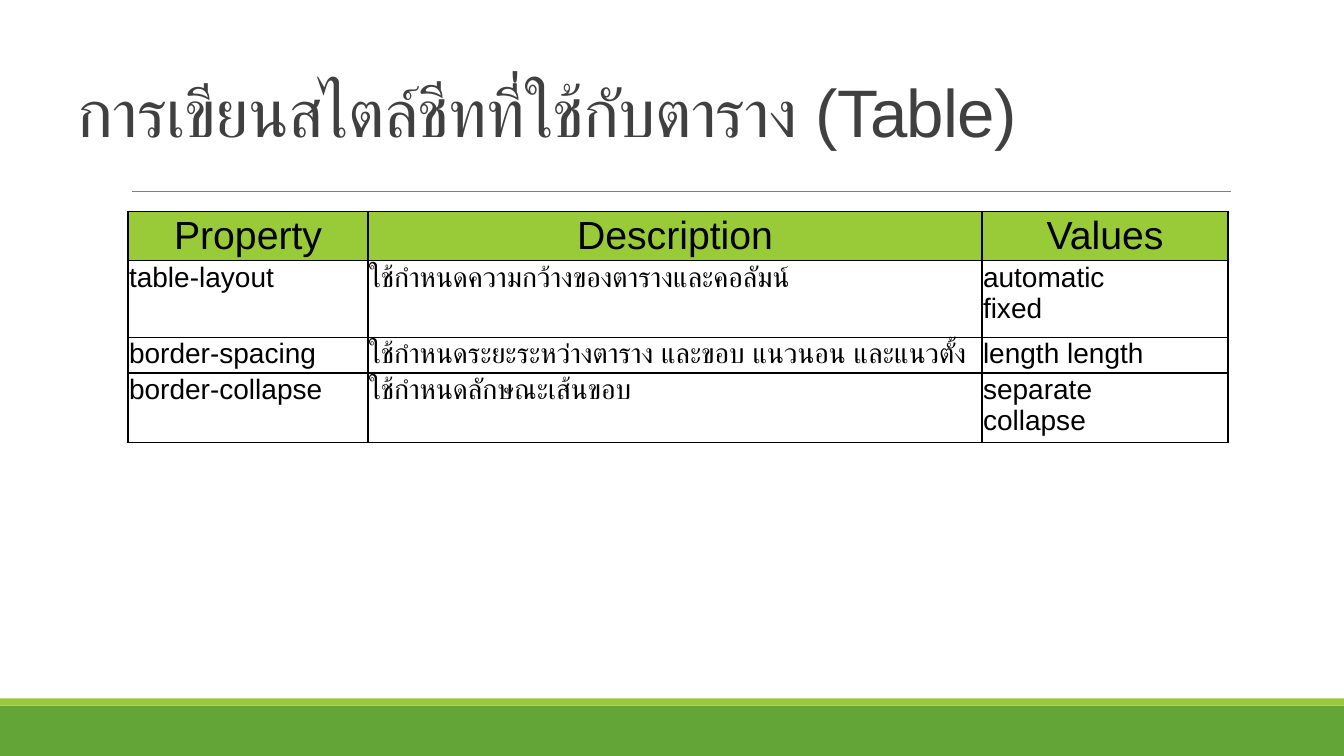
from pptx import Presentation
from pptx.dml.color import RGBColor
from pptx.enum.shapes import MSO_CONNECTOR, MSO_SHAPE
from pptx.enum.text import MSO_ANCHOR, PP_ALIGN
from pptx.oxml import parse_xml
from pptx.oxml.ns import nsdecls
from pptx.util import Inches, Pt
from lxml.etree import SubElement

TITLE = "การเขียนสไตล์ชีทที่ใช้กับตาราง (Table)"
ROWS = [
    ("Property", "Description", "Values"),
    ("table-layout", "ใช้กำหนดความกว้างของตารางและคอลัมน์", "automatic\vfixed"),
    ("border-spacing", "ใช้กำหนดระยะระหว่างตาราง และขอบ แนวนอน และแนวตั้ง", "length length"),
    ("border-collapse", "ใช้กำหนดลักษณะเส้นขอบ", "separate\vcollapse"),
]
COLUMN_WIDTHS = [2.38, 6.09, 2.44]
ROW_HEIGHTS = [0.45, 0.76, 0.32, 0.64]
BANDS = [(7, 0.5, "63A537"), (6.93, 0.07, "99CB38")]
HEADER = {"size": 28, "align": PP_ALIGN.CENTER, "anchor": MSO_ANCHOR.MIDDLE}
BODY = {"size": 20, "align": PP_ALIGN.LEFT, "anchor": MSO_ANCHOR.TOP}
DRAWING = "{http://schemas.openxmlformats.org/drawingml/2006/main}"


def color(hex_text):
    return RGBColor.from_string(hex_text)


def style(para, size, hex_text):
    for span in para.runs:
        for name, value in {"name": "Arial", "size": Pt(size)}.items():
            setattr(span.font, name, value)
        span.font.color.rgb = color(hex_text)
        SubElement(span.font._element, DRAWING + "cs", typeface="Arial")


def add_borders(cell):
    properties = cell._tc.get_or_add_tcPr()
    for index, side in enumerate(("lnL", "lnR", "lnT", "lnB")):
        properties.insert(index, parse_xml(
            f'<a:{side} {nsdecls("a")} w="12700"><a:solidFill>'
            f'<a:srgbClr val="000000"/></a:solidFill></a:{side}>'))


deck = Presentation()
deck.slide_width, deck.slide_height = Inches(13.33), Inches(7.5)
page = deck.slides.add_slide(deck.slide_layouts[6])

for top, height, fill in BANDS:
    band = page.shapes.add_shape(
        MSO_SHAPE.RECTANGLE, 0, Inches(top), deck.slide_width, Inches(height))
    band.shadow.inherit = False
    band.fill.solid()
    band.fill.fore_color.rgb = color(fill)
    band.line.fill.background()

rule = page.shapes.add_connector(
    MSO_CONNECTOR.STRAIGHT, Inches(1.31), Inches(1.9), Inches(12.21), Inches(1.9))
rule.line.color.rgb = color("808080")
rule.line.width = Pt(0.5)
SubElement(rule._element.spPr, DRAWING + "effectLst")

title_box = page.shapes.add_textbox(Inches(0.67), Inches(0.3), Inches(12), Inches(1.25))
frame = title_box.text_frame
frame.word_wrap = True
frame.vertical_anchor = MSO_ANCHOR.BOTTOM
title = frame.paragraphs[0]
title.line_spacing = 0.85
title.add_run().text = TITLE
style(title, 48, "404040")
title.runs[0].font._element.set("spc", "-50")

table = page.shapes.add_table(
    len(ROWS), len(COLUMN_WIDTHS), Inches(1.27), Inches(2.1),
    Inches(sum(COLUMN_WIDTHS)), Inches(sum(ROW_HEIGHTS))).table
for column, width in zip(table.columns, COLUMN_WIDTHS):
    column.width = Inches(width)
for row_index, (row, height) in enumerate(zip(ROWS, ROW_HEIGHTS)):
    table.rows[row_index].height = Inches(height)
    look = BODY if row_index else HEADER
    for column_index, text in enumerate(row):
        cell = table.cell(row_index, column_index)
        for side in ("left", "right", "top", "bottom"):
            setattr(cell, f"margin_{side}", Inches(0.01))
        cell.vertical_anchor = look["anchor"]
        if row_index:
            cell.fill.background()
        else:
            cell.fill.solid()
            cell.fill.fore_color.rgb = color("99CB38")
        add_borders(cell)
        para = cell.text_frame.paragraphs[0]
        para.text = text
        para.alignment = look["align"]
        style(para, look["size"], "000000")

deck.save("out.pptx")
